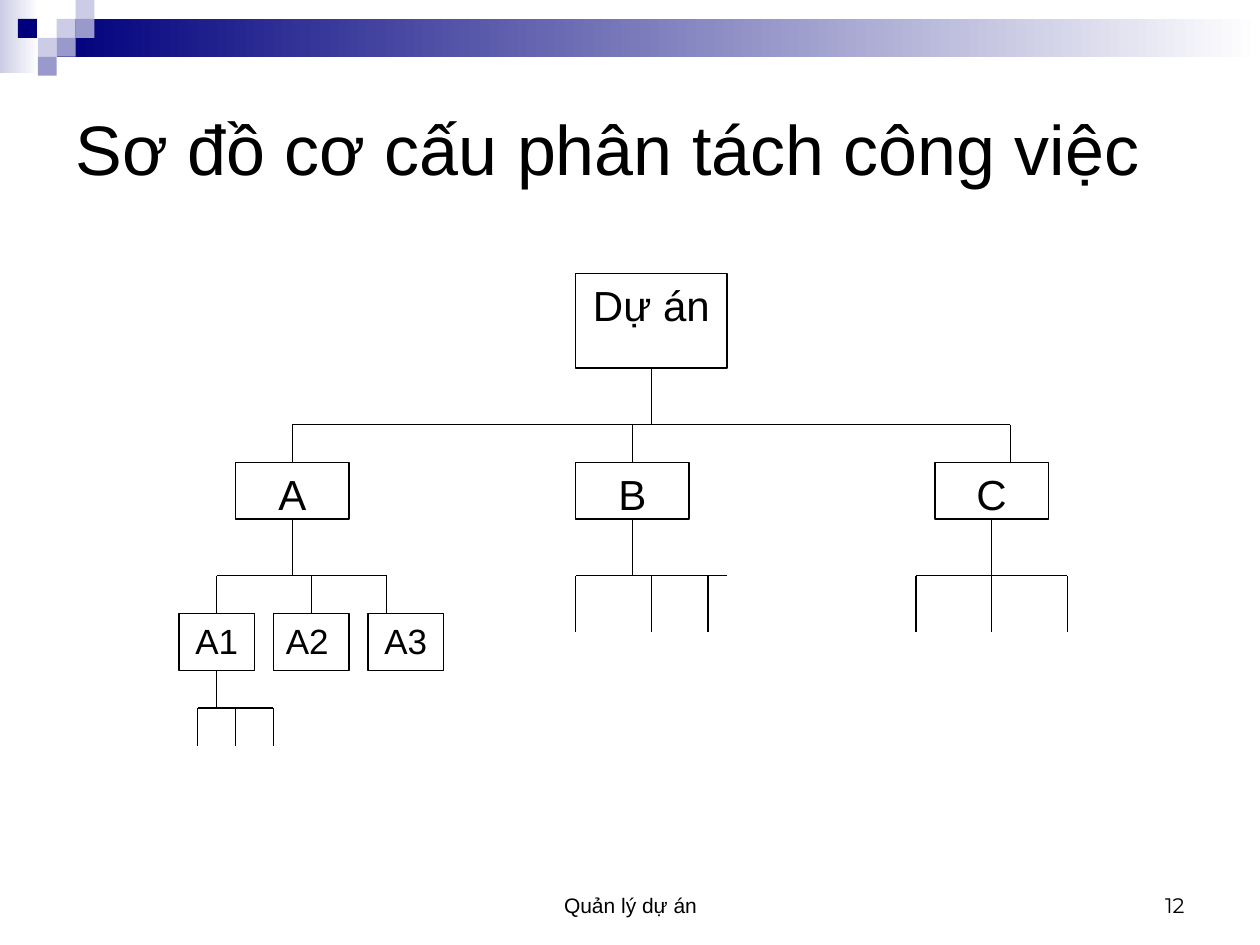
from dataclasses import dataclass

from lxml import etree
from pptx import Presentation
from pptx.dml.color import RGBColor
from pptx.enum.shapes import MSO_CONNECTOR, MSO_SHAPE
from pptx.enum.text import MSO_ANCHOR, MSO_AUTO_SIZE, PP_ALIGN
from pptx.oxml.ns import qn
from pptx.util import Inches, Pt

RECT = MSO_SHAPE.RECTANGLE
LINE = MSO_CONNECTOR.STRAIGHT
LEFT, MID, RIGHT = PP_ALIGN.LEFT, PP_ALIGN.CENTER, PP_ALIGN.RIGHT
TOP, CENTER, BASE = MSO_ANCHOR.TOP, MSO_ANCHOR.MIDDLE, MSO_ANCHOR.BOTTOM
SIDE_TOP, SIDE_BASE = 0, 2
CELL = 0.15  # grid step of the band squares and of the chart


@dataclass(frozen=True)
class Theme:
    ink: RGBColor = RGBColor(0, 0, 0)
    paper: RGBColor = RGBColor(255, 255, 255)
    navy: RGBColor = RGBColor(0x00, 0x00, 0x7D)
    mauve: RGBColor = RGBColor(0x99, 0x99, 0xCC)
    pale: RGBColor = RGBColor(0xCC, 0xCC, 0xE6)
    font: str = "Arial"
    num_font: str = "Montserrat"
    title: int = 40
    node: int = 24
    leaf: int = 20
    foot: int = 12
    rule: float = 0.75


THEME = Theme()


def set_text(shape, text, size, align, anchor, font=THEME.font):
    frame = shape.text_frame
    frame.text = text
    frame.word_wrap = True
    frame.auto_size = MSO_AUTO_SIZE.NONE
    frame.vertical_anchor = anchor
    para = frame.paragraphs[0]
    para.alignment = align
    style = para.runs[0].font
    style.name, style.size = font, Pt(size)
    style.color.rgb = THEME.ink


def add_rect(slide, x, y, w, h, fill=None):
    shape = slide.shapes.add_shape(RECT, Inches(x), Inches(y), Inches(w), Inches(h))
    shape.shadow.inherit = False
    shape.line.fill.background()
    if fill is not None:
        shape.fill.solid()
        shape.fill.fore_color.rgb = fill
    return shape


def add_fade(slide, x, y, w, h, start):
    fill = add_rect(slide, x, y, w, h).fill
    fill.gradient()
    fill.gradient_angle = 0
    for stop, color in zip(fill.gradient_stops, (start, THEME.paper)):
        stop.color.rgb = color


def add_band(slide, x, y, w):
    """Fading bar with a mosaic of squares at its left end."""
    add_fade(slide, x, y, 0.31, 0.58, THEME.pale)
    add_fade(slide, x + 3 * CELL, y + CELL, w - 3 * CELL, 2 * CELL, THEME.navy)
    tiles = [
        (3, 1, THEME.pale), (4, 0, THEME.pale), (4, 1, THEME.mauve),
        (2, 2, THEME.pale), (0.95, 1, THEME.navy), (3, 2, THEME.mauve),
        (2, 3, THEME.mauve),
    ]
    for col, row, color in tiles:
        add_rect(slide, x + col * CELL, y + row * CELL, CELL, CELL, color)


def add_title(slide, x, y, w, h, text):
    title = slide.shapes.title
    title.left, title.top = Inches(x), Inches(y)
    title.width, title.height = Inches(w), Inches(h)
    set_text(title, text, THEME.title, LEFT, CENTER)


def add_foot(slide, x, y, w, h, text, align, font=THEME.font):
    box = slide.shapes.add_textbox(Inches(x), Inches(y), Inches(w), Inches(h))
    set_text(box, text, THEME.foot, align, BASE, font)


def add_chart(slide, x, y):
    """Work breakdown tree; columns and rows count cells from (x, y)."""

    def node(text, col, row, w, h, size=THEME.node, align=MID):
        shape = add_rect(slide, x + col * CELL, y + row * CELL,
                         w * CELL, h * CELL, THEME.paper)
        shape.line.color.rgb = THEME.ink
        shape.line.width = Pt(THEME.rule)
        set_text(shape, text, size, align, TOP)
        return shape, col + w / 2, row + h

    def line(c1, r1, c2, r2):
        link = slide.shapes.add_connector(
            LINE, Inches(x + c1 * CELL), Inches(y + r1 * CELL),
            Inches(x + c2 * CELL), Inches(y + r2 * CELL))
        link.line.color.rgb = THEME.ink
        link.line.width = Pt(THEME.rule)
        etree.SubElement(link._element.spPr, qn("a:effectLst"))
        return link

    def fork(parent, bar, drops, end, kids=(), right=None):
        """Stem down to a bar, then drops from the bar to the children."""
        shape, mid, base = parent
        line(mid, base, mid, bar).begin_connect(shape, SIDE_BASE)
        line(drops[0], bar, right or drops[-1], bar)
        for i, col in enumerate(drops):
            drop = line(col, bar, col, end)
            if kids and kids[i][1] == col:
                drop.end_connect(kids[i][0], SIDE_TOP)

    # Boxes, level by level
    root = node("Dự án", 21, 0, 8, 5)
    tasks = [node(name, col, 10, 6, 3)
             for name, col in (("A", 3), ("B", 21), ("C", 40))]
    parts = [node(name, 5 * i, 18, 4, 3, THEME.leaf, align)
             for i, (name, align) in enumerate(
                 (("A1", MID), ("A2", LEFT), ("A3", MID)))]

    # Branches
    a, b, c = tasks
    fork(root, 8, (6, 24, 44), 10, tasks)
    fork(a, 16, (2, 7, 11), 18, parts)
    fork(parts[0], 23, (1, 3, 5), 25)
    fork(b, 16, (21, 25, 28), 19, right=29)
    fork(c, 16, (39, 43, 47), 19)


def main():
    deck = Presentation()
    deck.slide_width, deck.slide_height = Inches(10), Inches(7.5)
    slide = deck.slides.add_slide(deck.slide_layouts[5])  # title only
    add_band(slide, 0, 0, 10)
    add_foot(slide, 3.42, 6.83, 3.17, 0.5, "Quản lý dự án", MID)
    add_foot(slide, 7.17, 6.83, 2.33, 0.5, "12", RIGHT, THEME.num_font)
    add_title(slide, 0.5, 0.42, 9, 1.5, "Sơ đồ cơ cấu phân tách công việc")
    add_chart(slide, 1.42, 2.17)
    deck.save("out.pptx")


if __name__ == "__main__":
    main()
